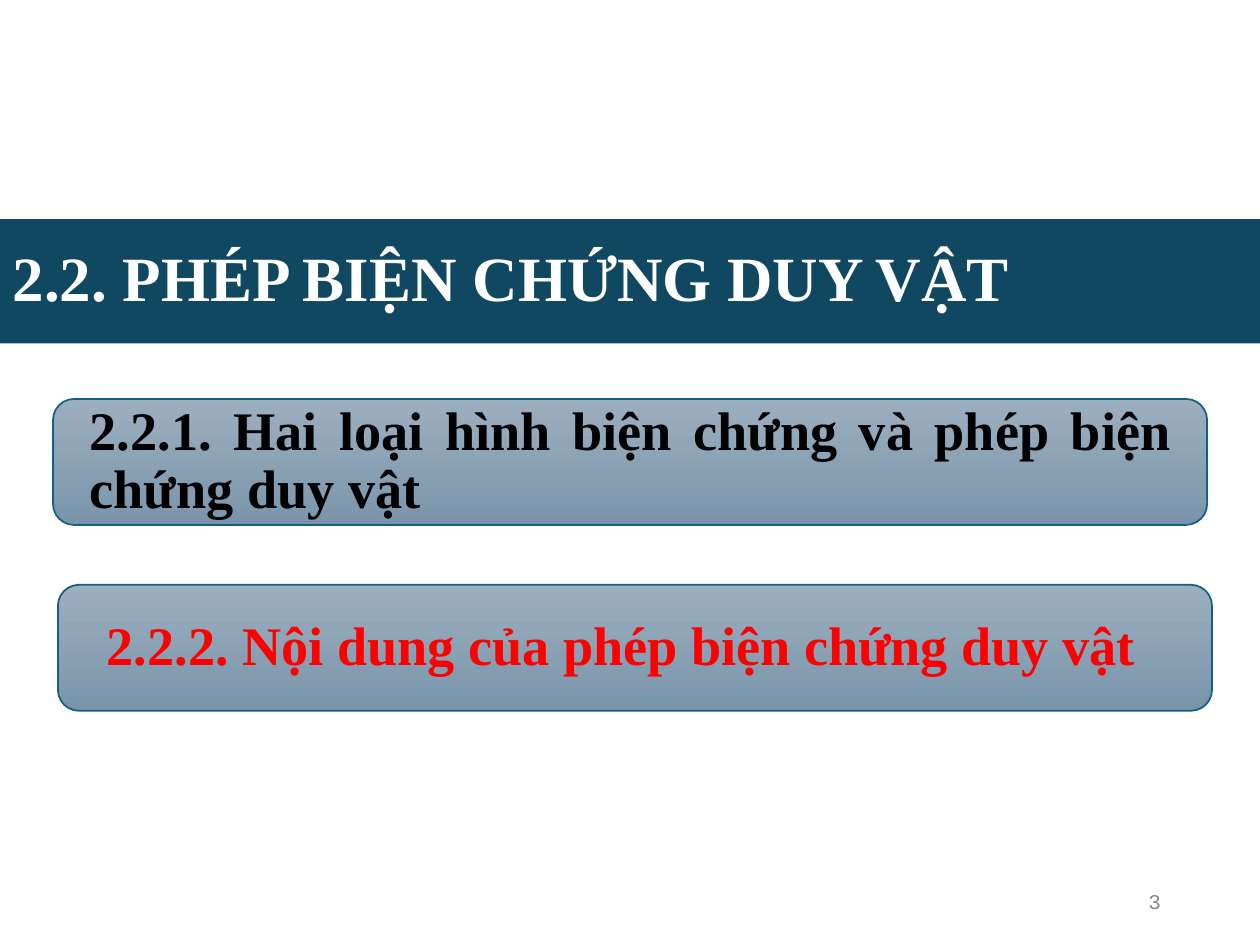
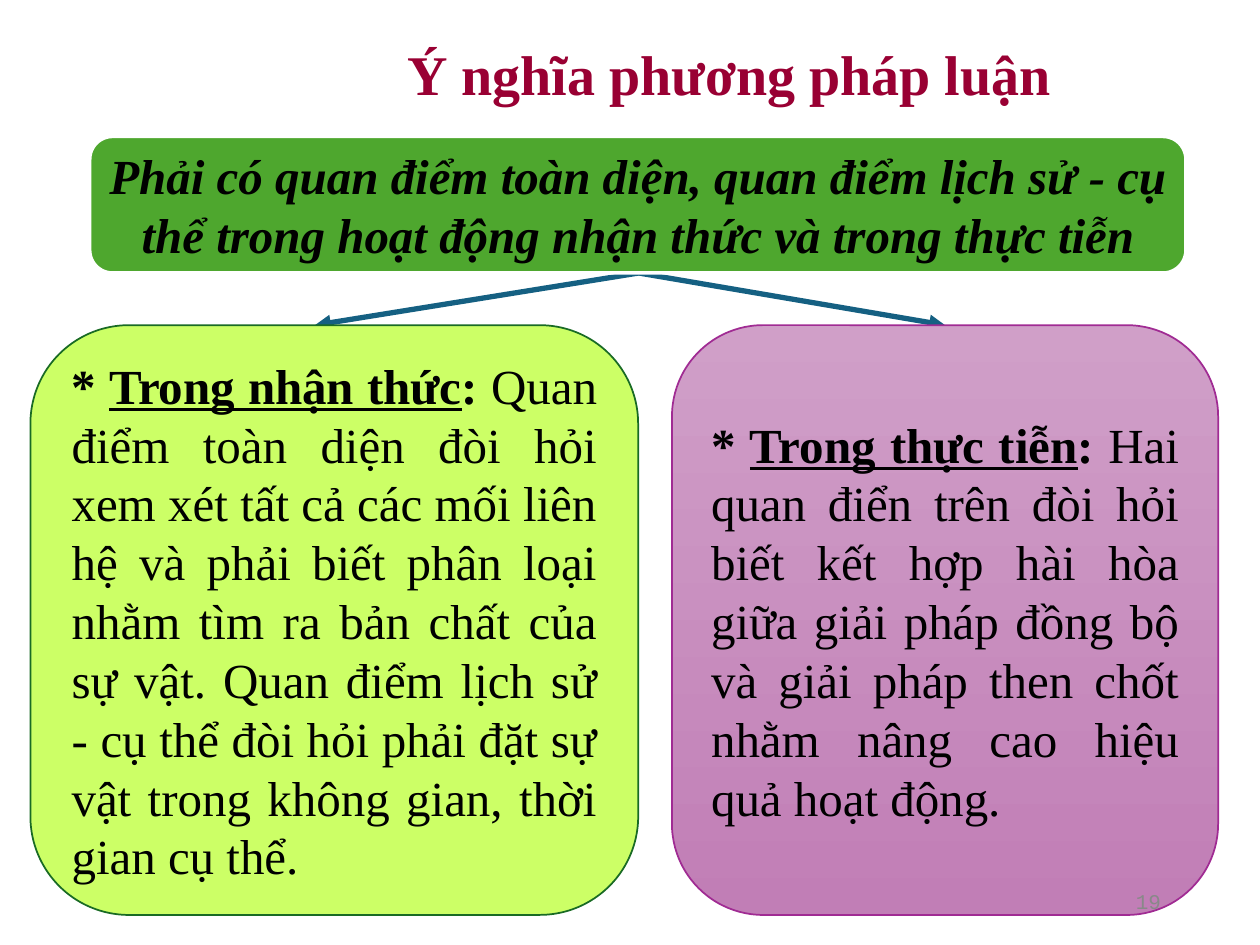
from dataclasses import dataclass

from lxml.etree import SubElement
from pptx import Presentation
from pptx.dml.color import RGBColor
from pptx.enum.shapes import MSO_CONNECTOR, MSO_SHAPE
from pptx.enum.text import MSO_ANCHOR, MSO_AUTO_SIZE, PP_ALIGN
from pptx.oxml.ns import qn
from pptx.util import Pt

COLORS = {
    "white": "FFFFFF", "black": "000000", "red": "FF0000",
    "navy": "104862", "teal": "156082", "crimson": "990033",
    "steel_top": "9CAFBF", "steel_bottom": "7A95AB",
    "green": "4EA72E", "lime": "CCFF66", "forest": "196B24",
    "mauve_top": "D09FC8", "mauve_bottom": "C17EB6", "purple": "A02B93",
    "grey": "898989",
}
SERIF = "Times New Roman"
MONO = "Courier New"
CORNER = 0.167
STEEL = ("steel_top", "steel_bottom")
MAUVE = ("mauve_top", "mauve_bottom")


@dataclass
class Span:
    text: str
    bold: bool = True
    italic: bool = False
    underline: bool = False


@dataclass
class Panel:
    """Rounded panel; two fill colours make a vertical gradient."""
    left: float
    top: float
    width: float
    height: float
    fill: tuple[str, ...]
    line: str
    spans: list[Span]
    size: float = 28
    align: PP_ALIGN = PP_ALIGN.JUSTIFY
    color: str = "black"
    line_width: float = 1
    margins: tuple[float, float] = (7.2, 7.2)
    spacing: float = 1.0


def rgb(name: str) -> RGBColor:
    return RGBColor.from_string(COLORS[name])


def write(tf, spans: list[Span], size: float, color: str, align: PP_ALIGN,
          font: str = SERIF, spacing: float = 1.0) -> None:
    tf.word_wrap = True
    tf.auto_size = MSO_AUTO_SIZE.NONE
    tf.vertical_anchor = MSO_ANCHOR.MIDDLE
    p = tf.paragraphs[0]
    p.alignment = align
    p.line_spacing = spacing
    for span in spans:
        r = p.add_run()
        r.text = span.text
        r.font.name, r.font.size = font, Pt(size)
        r.font.bold, r.font.italic = span.bold, span.italic
        r.font.underline = span.underline
        r.font.color.rgb = rgb(color)


def add_slide(prs, number: int):
    """Title-only slide with its page number still to be drawn on top."""
    s = prs.slides.add_slide(prs.slide_layouts[5])
    s.name = f"Slide {number}"
    return s


def set_title(s, text: str, box: tuple[float, ...], size: float, color: str):
    sp = s.shapes.title
    sp.left, sp.top, sp.width, sp.height = map(Pt, box)
    write(sp.text_frame, [Span(text)], size, color, PP_ALIGN.LEFT, spacing=0.9)
    return sp


def add_page_number(s, number: int) -> None:
    sp = s.shapes.add_textbox(Pt(508.5), Pt(500.5), Pt(162), Pt(28.8))
    write(sp.text_frame, [Span(str(number), bold=False)], 12, "grey",
          PP_ALIGN.RIGHT, MONO)


def add_panel(s, panel: Panel) -> None:
    sp = s.shapes.add_shape(MSO_SHAPE.ROUNDED_RECTANGLE, Pt(panel.left),
                            Pt(panel.top), Pt(panel.width), Pt(panel.height))
    sp.adjustments[0] = CORNER
    sp.shadow.inherit = False
    if len(panel.fill) == 1:
        sp.fill.solid()
        sp.fill.fore_color.rgb = rgb(panel.fill[0])
    else:
        sp.fill.gradient()
        sp.fill.gradient_angle = 270
        for stop, name, place in zip(sp.fill.gradient_stops, panel.fill, (0, 1)):
            stop.color.rgb = rgb(name)
            stop.position = place
    sp.line.color.rgb = rgb(panel.line)
    sp.line.width = Pt(panel.line_width)
    tf = sp.text_frame
    tf.margin_left, tf.margin_right = map(Pt, panel.margins)
    write(tf, panel.spans, panel.size, panel.color, panel.align,
          spacing=panel.spacing)


def add_arrow(s, start: tuple[float, float], end: tuple[float, float]) -> None:
    c = s.shapes.add_connector(MSO_CONNECTOR.STRAIGHT, *map(Pt, start + end))
    c.line.color.rgb = rgb("teal")
    c.line.width = Pt(3)
    SubElement(c.line._get_or_add_ln(), qn("a:tailEnd"), type="triangle")
    SubElement(c._element.spPr, qn("a:effectLst"))


def build_section(prs) -> None:
    s = add_slide(prs, 3)

    # Title band
    band = set_title(s, "2.2. PHÉP BIỆN CHỨNG DUY VẬT", (0, 125.2, 720, 71),
                     36, "white")
    band.fill.solid()
    band.fill.fore_color.rgb = rgb("navy")
    add_page_number(s, 3)

    # Section entries
    entries = [
        ("2.2.1. Hai loại hình biện chứng và phép biện chứng duy vật",
         30.3, 17.5, "black", PP_ALIGN.JUSTIFY),
        ("2.2.2. Nội dung của phép biện chứng duy vật",
         33.1, 24.5, "red", PP_ALIGN.LEFT),
    ]
    for i, (text, left, indent, color, align) in enumerate(entries):
        add_panel(s, Panel(left, 228 + i * 106.2, 659.5, 72, STEEL, "teal",
                           [Span(text)], 31, align, color,
                           margins=(indent, 17.5), spacing=0.9))


def build_meaning(prs) -> None:
    s = add_slide(prs, 19)
    set_title(s, "Ý nghĩa phương pháp luận", (225.4, 7.9, 390, 72.7),
              32, "crimson")

    # Arrows from the principle to both cards
    card_top = 185.8
    for x in (180, 540):
        add_arrow(s, (365, 156), (x, card_top))

    # Principle
    principle = ("Phải có quan điểm toàn diện, quan điểm lịch sử - cụ thể "
                 "trong hoạt động nhận thức và trong thực tiễn")
    add_panel(s, Panel(51.3, 78, 626.4, 78, ("green",), "white",
                       [Span(principle, italic=True)],
                       align=PP_ALIGN.CENTER, line_width=2))

    # Cards
    cards = [
        (17.4, 347.3, ("lime",), "forest", "Trong nhận thức",
         "Quan điểm toàn diện đòi hỏi xem xét tất cả các mối liên hệ và phải "
         "biết phân loại nhằm tìm ra bản chất của sự vật. Quan điểm lịch sử - "
         "cụ thể đòi hỏi phải đặt sự vật trong không gian, thời gian cụ thể."),
        (384, 312.1, MAUVE, "purple", "Trong thực tiễn",
         "Hai quan điển trên đòi hỏi biết kết hợp hài hòa giữa giải pháp đồng "
         "bộ và giải pháp then chốt nhằm nâng cao hiệu quả hoạt động."),
    ]
    for left, width, fill, line, heading, body in cards:
        spans = [Span("* "), Span(heading, underline=True), Span(": "),
                 Span(body, bold=False)]
        add_panel(s, Panel(left, card_top, width, 337, fill, line, spans))
    add_page_number(s, 19)


def main() -> None:
    prs = Presentation()
    prs.slide_width, prs.slide_height = Pt(720), Pt(540)
    build_section(prs)
    build_meaning(prs)
    prs.save("out.pptx")


if __name__ == "__main__":
    main()
